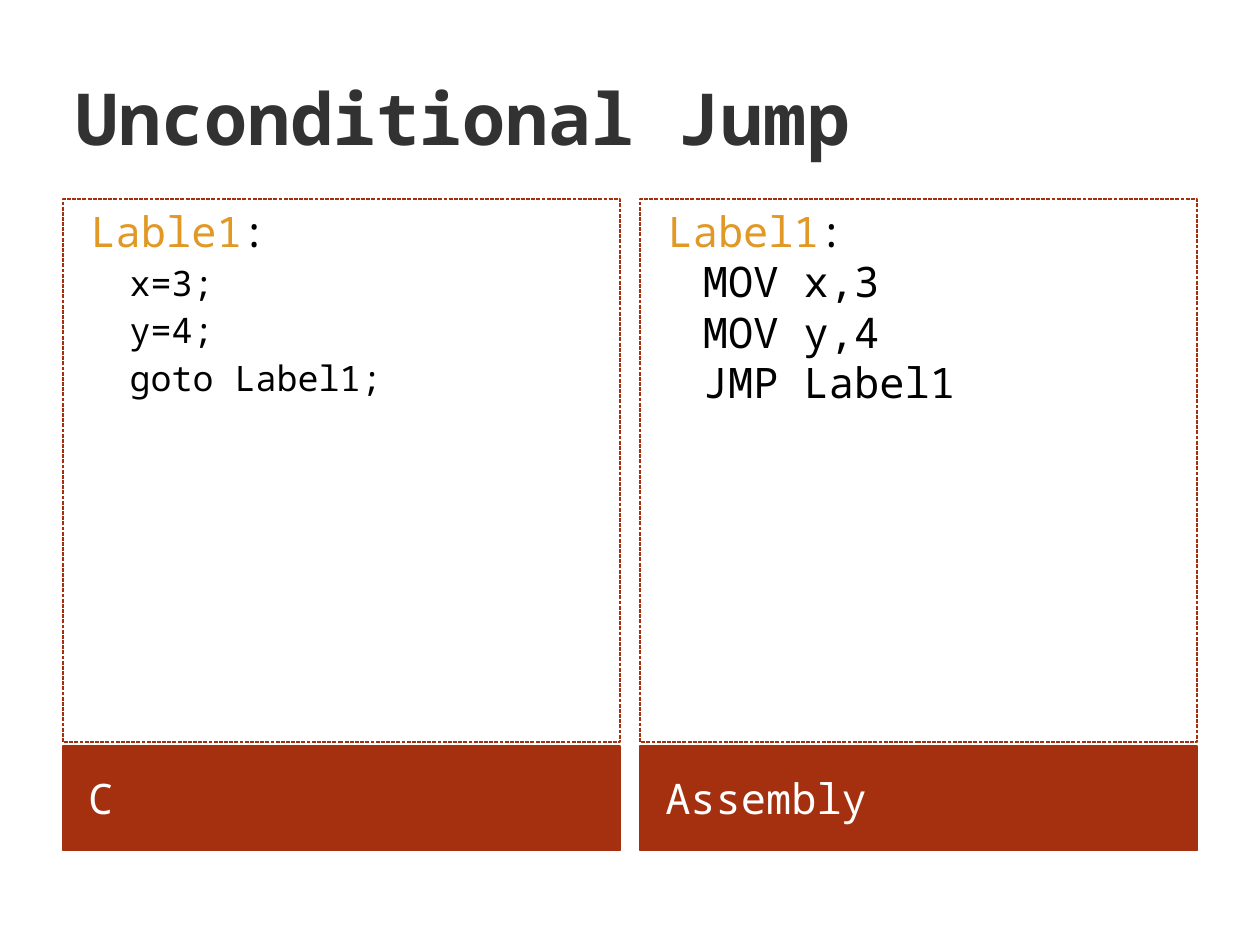
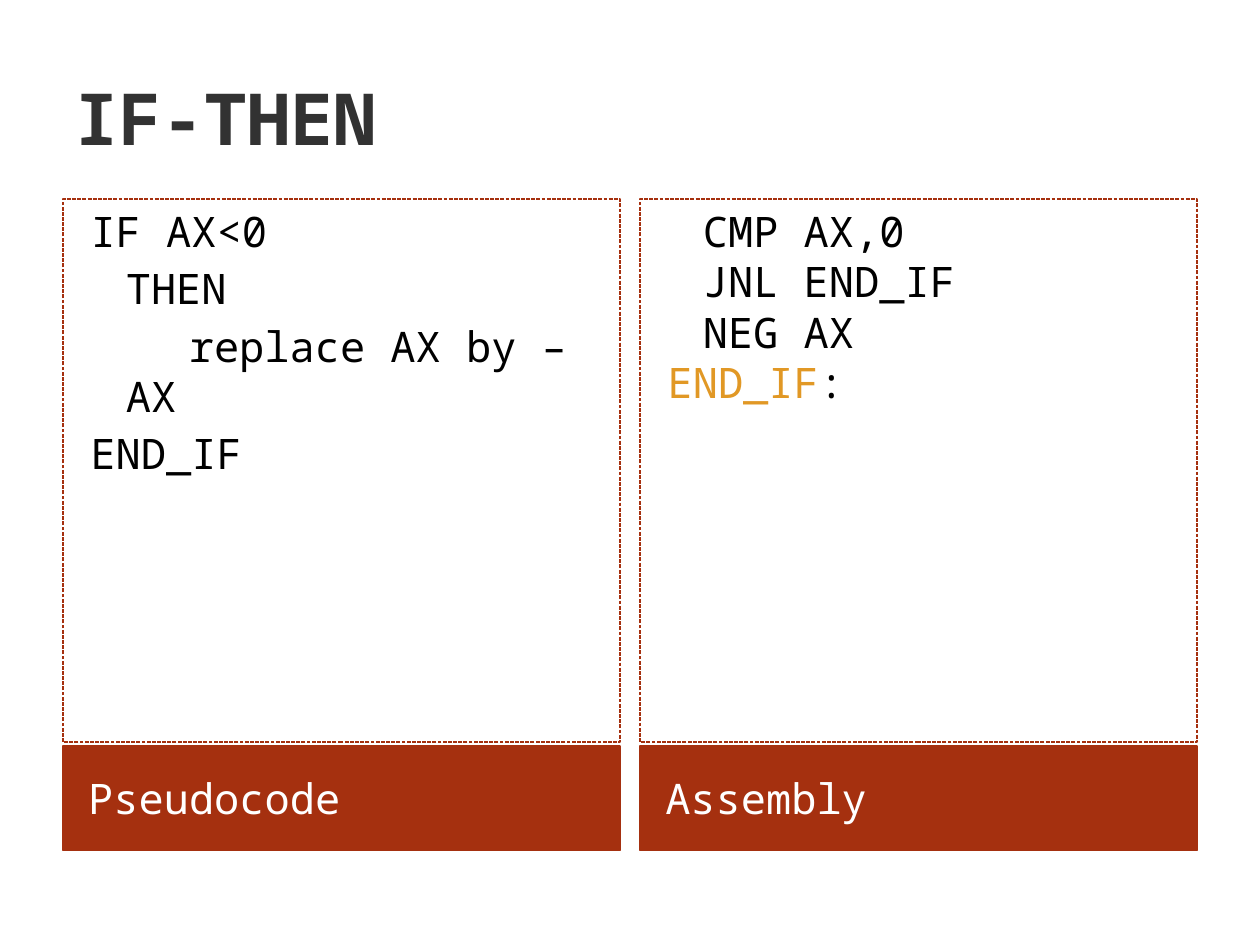
from pptx import Presentation
from pptx import util as u
from pptx.dml.color import RGBColor
from pptx.enum import dml, shapes, text

RUST = RGBColor(0xA5, 0x30, 0x0F)
AMBER = RGBColor(0xE1, 0x98, 0x25)
CHARCOAL = RGBColor(0x32, 0x32, 0x32)
BLACK = RGBColor(0, 0, 0)
WHITE = RGBColor(0xFF, 0xFF, 0xFF)

FONT = "Noto Sans Mono"
MARGIN, GUTTER = 0.5, 0.16
PAGE_WIDTH, PAGE_HEIGHT = 10, 7.5
CONTENT_WIDTH = PAGE_WIDTH - 2 * MARGIN
COLUMN_WIDTH = (CONTENT_WIDTH - GUTTER) / 2
# Each row of the page is (top, height) in inches.
TITLE_ROW, CODE_ROW, CAPTION_ROW = (0.3, 1.25), (1.58, 4.31), (5.92, 0.83)

TITLE = {"size": u.Pt(41), "bold": True, "color": CHARCOAL}
CAPTION = {"size": u.Pt(24), "color": WHITE}
# Code level: left margin and hanging indent in inches, text size, space before.
LEVELS = [(0.4, -0.28, 24, 4), (0.68, -0.25, 20, 3.2)]

SLIDES = [
    ("Unconditional Jump",
     ("C", [(0, "Lable1:"), (1, "x=3;"), (1, "y=4;"), (1, "goto Label1;")]),
     ("Assembly", [(0, "Label1:"), (0, "\tMOV x,3"), (0, "\tMOV y,4"),
                   (0, "\tJMP Label1")])),
    ("IF-THEN",
     ("Pseudocode", [(0, "IF AX<0"), (0, "\tTHEN"),
                     (0, "\t\treplace AX by –AX"), (0, "END_IF")]),
     ("Assembly", [(0, "\tCMP AX,0"), (0, "\tJNL END_IF"), (0, "\tNEG AX"),
                   (0, "END_IF:")])),
]


def set_all(target, values):
    for name, value in values.items():
        setattr(target, name, value)


def add_span(para, words, style):
    span = para.add_run()
    span.text = words
    set_all(span.font, {"name": FONT, "size": style["size"],
                        "bold": style.get("bold", False)})
    span.font.color.rgb = style["color"]


def column_area(column, row):
    left = MARGIN + column * (COLUMN_WIDTH + GUTTER)
    return [u.Inches(n) for n in (left, row[0], COLUMN_WIDTH, row[1])]


def add_title(page, words):
    area = (MARGIN, TITLE_ROW[0], CONTENT_WIDTH, TITLE_ROW[1])
    box = page.shapes.add_textbox(*[u.Inches(n) for n in area])
    set_all(box.text_frame, {"word_wrap": True,
                             "vertical_anchor": text.MSO_ANCHOR.MIDDLE})
    add_span(box.text_frame.paragraphs[0], words, TITLE)


def add_panel(page, column, row, anchor):
    """Add an unfilled, rust-edged rectangle in one cell of the page grid."""
    box = page.shapes.add_shape(shapes.MSO_SHAPE.RECTANGLE,
                                *column_area(column, row))
    box.shadow.inherit = False
    box.fill.background()
    box.line.color.rgb = RUST
    box.line.width = u.Pt(0.75)
    set_all(box.text_frame, {"word_wrap": True, "vertical_anchor": anchor})
    return box


def add_caption(page, column, words):
    box = add_panel(page, column, CAPTION_ROW, text.MSO_ANCHOR.MIDDLE)
    box.fill.solid()
    box.fill.fore_color.rgb = RUST
    box.text_frame.margin_left = u.Inches(0.2)
    para = box.text_frame.paragraphs[0]
    set_all(para, {"alignment": text.PP_ALIGN.LEFT, "space_before": u.Pt(4)})
    add_span(para, words, CAPTION)


def add_code(page, column, lines, spaced):
    """Add a dashed panel of code; a line that ends in a colon is a label."""
    box = add_panel(page, column, CODE_ROW, text.MSO_ANCHOR.TOP)
    box.line.dash_style = dml.MSO_LINE.SQUARE_DOT
    frame = box.text_frame
    for number, (level, words) in enumerate(lines):
        para = frame.add_paragraph() if number else frame.paragraphs[0]
        margin, indent, size, gap = LEVELS[level]
        set_all(para, {"level": level, "alignment": text.PP_ALIGN.LEFT,
                       "space_before": u.Pt(gap if spaced else 0)})
        props = para._p.get_or_add_pPr()
        props.set("marL", str(u.Inches(margin)))
        props.set("indent", str(u.Inches(indent)))
        style = {"size": u.Pt(size), "color": BLACK}
        if words.endswith(":"):
            add_span(para, words[:-1], {**style, "color": AMBER})
            words = ":"
        add_span(para, words, style)


def main():
    deck = Presentation()
    deck.slide_width = u.Inches(PAGE_WIDTH)
    deck.slide_height = u.Inches(PAGE_HEIGHT)
    for title, *columns in SLIDES:
        page = deck.slides.add_slide(deck.slide_layouts[6])
        add_title(page, title)
        for column, (caption, lines) in enumerate(columns):
            add_caption(page, column, caption)
            add_code(page, column, lines, spaced=column == 0)
    deck.save("out.pptx")


if __name__ == "__main__":
    main()
